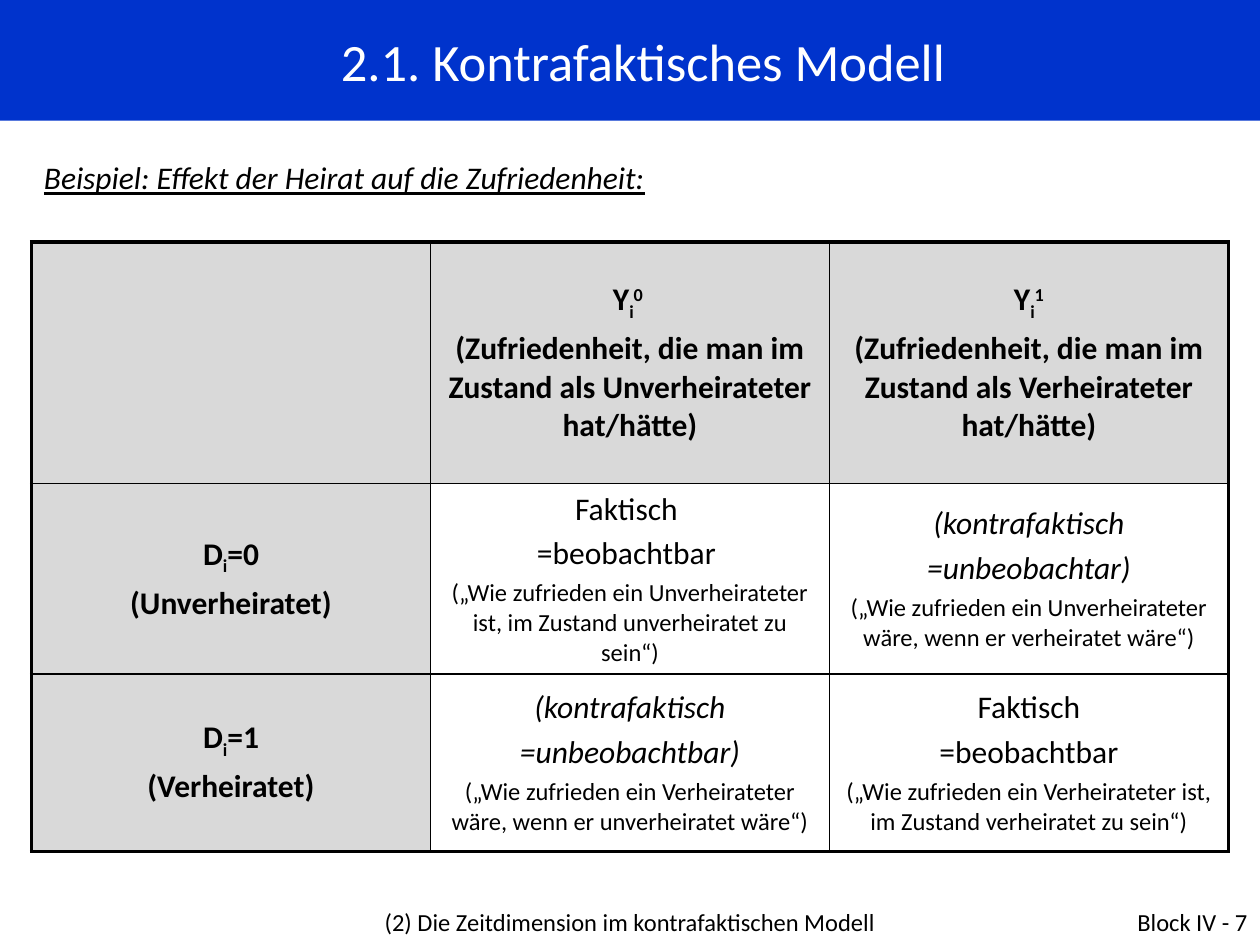
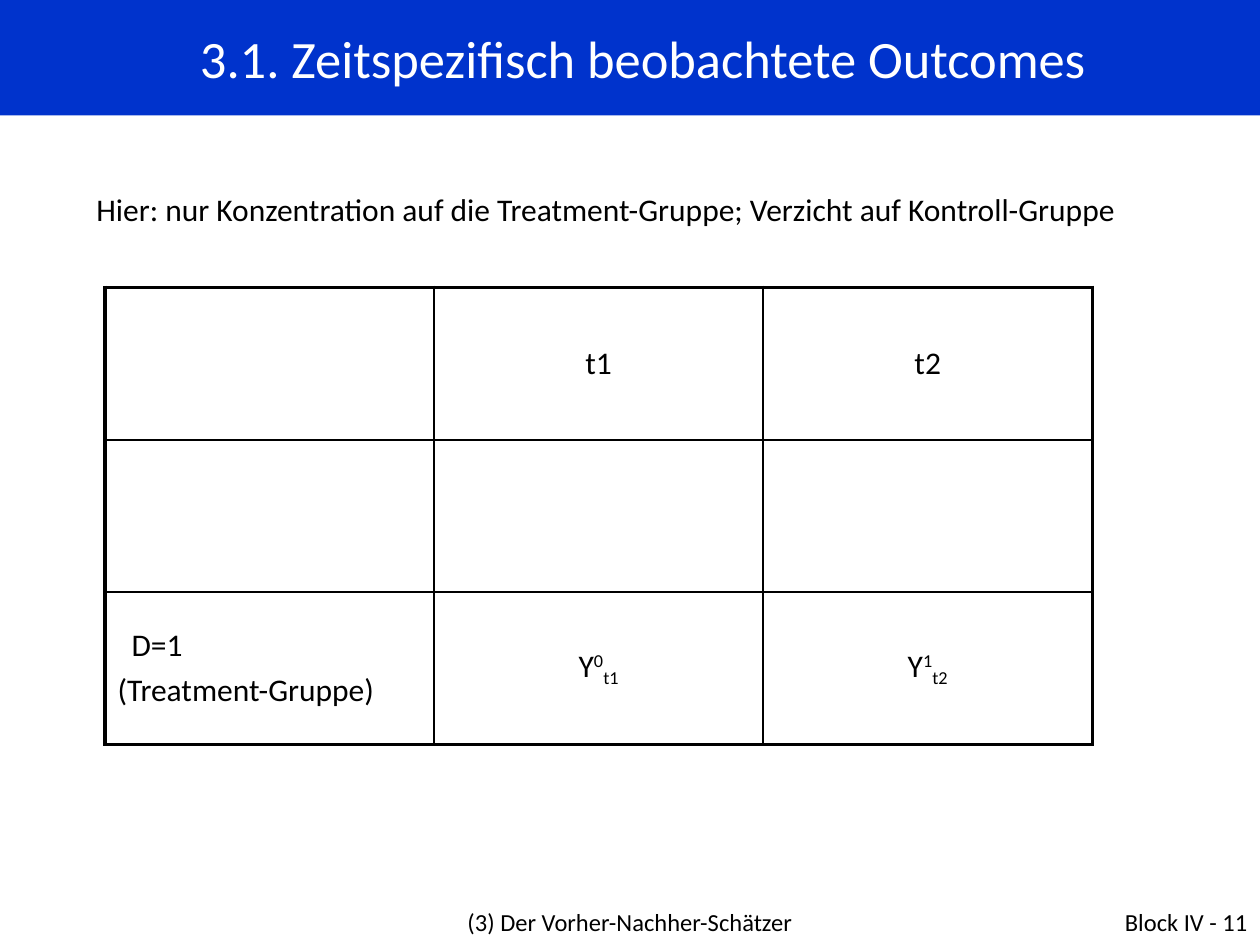
from dataclasses import dataclass
from typing import NamedTuple

from lxml import etree
from pptx import Presentation
from pptx import util as u
from pptx.dml import color
from pptx.enum import text
from pptx.oxml import ns

FONT = "Calibri"
BLUE, GREY, BLACK, WHITE = "0033CC", "D9D9D9", "000000", "FFFFFF"
SUB, SUPER = -25000, 30000
OUTER_LINE, INNER_LINE = 2.25, 1
LEFT, CENTER, RIGHT = text.PP_ALIGN.LEFT, text.PP_ALIGN.CENTER, text.PP_ALIGN.RIGHT
TITLE_ONLY = 5


class Run(NamedTuple):
    text: str
    baseline: int = 0


class Box(NamedTuple):
    left: float
    top: float
    width: float
    height: float


@dataclass
class Line:
    """One paragraph; space_before is a share of the font size."""
    runs: list[Run]
    size: float = 18
    bold: bool = False
    italic: bool = False
    underline: bool = False
    align: text.PP_ALIGN = CENTER
    color: str = BLACK
    space_before: float = 0.2
    line_spacing: float = 1.0
    margin: float = 0
    indent: float = 0


@dataclass
class Grid:
    box: Box
    row_heights: list[float]
    cells: list[list[list[Line]]]
    shaded_headers: bool = False


@dataclass
class Page:
    title: str
    band_height: float
    intro: Line
    intro_box: Box
    grid: Grid
    chapter: str
    number: int


def rgb(value: str) -> color.RGBColor:
    return color.RGBColor.from_string(value)


def apply(target: object, **values: object) -> None:
    for name, value in values.items():
        setattr(target, name, value)


def write(frame: text, lines: list[Line]) -> None:
    for index, line in enumerate(lines):
        paragraph = frame.add_paragraph() if index else frame.paragraphs[0]
        apply(paragraph, alignment=line.align, line_spacing=line.line_spacing,
              space_before=u.Pt(line.size * line.space_before))
        if line.margin:
            properties = paragraph._p.get_or_add_pPr()
            properties.set("marL", str(u.Pt(line.margin)))
            properties.set("indent", str(u.Pt(line.indent)))
        for part in line.runs:
            run = paragraph.add_run()
            run.text = part.text
            apply(run.font, name=FONT, size=u.Pt(line.size), bold=line.bold,
                  italic=line.italic, underline=line.underline)
            run.font.color.rgb = rgb(line.color)
            if part.baseline:
                run._r.get_or_add_rPr().set("baseline", str(part.baseline))


def add_text(slide, box: Box, line: Line, grow: bool = False) -> None:
    frame = slide.shapes.add_textbox(*map(u.Pt, box)).text_frame
    fit = text.MSO_AUTO_SIZE
    apply(frame, word_wrap=True, auto_size=fit.SHAPE_TO_FIT_TEXT if grow else fit.NONE)
    write(frame, [line])


def add_title(slide, title: str, height: float) -> None:
    band = slide.shapes.title
    apply(band, left=0, top=0, width=u.Pt(720), height=u.Pt(height))
    band.fill.solid()
    band.fill.fore_color.rgb = rgb(BLUE)
    apply(band.text_frame, auto_size=text.MSO_AUTO_SIZE.NONE, word_wrap=True,
          vertical_anchor=text.MSO_ANCHOR.MIDDLE)
    write(band.text_frame, [Line([Run(title)], size=30, color=WHITE, space_before=0,
                                 margin=37.5, indent=-22.5)])


def add_border(cell, side: str, width: float) -> None:
    line = etree.SubElement(cell._tc.get_or_add_tcPr(), ns.qn(f"a:ln{side}"),
                            w=str(u.Pt(width)))
    fill = etree.SubElement(line, ns.qn("a:solidFill"))
    etree.SubElement(fill, ns.qn("a:srgbClr"), val=BLACK)


def add_grid(slide, grid: Grid) -> None:
    rows, columns = len(grid.cells), len(grid.cells[0])
    table = slide.shapes.add_table(rows, columns, *map(u.Pt, grid.box)).table
    apply(table, first_row=False, horz_banding=False)
    for row, height in zip(table.rows, grid.row_heights):
        row.height = u.Pt(height)
    for column in table.columns:
        column.width = u.Pt(grid.box.width / columns)
    for r, row_lines in enumerate(grid.cells):
        for c, lines in enumerate(row_lines):
            cell = table.cell(r, c)
            on_edge = {"L": c == 0, "R": c == columns - 1,
                       "T": r == 0, "B": r == rows - 1}
            for side, outer in on_edge.items():
                add_border(cell, side, OUTER_LINE if outer else INNER_LINE)
            if grid.shaded_headers and 0 in (r, c):
                cell.fill.solid()
                cell.fill.fore_color.rgb = rgb(GREY)
            else:
                cell.fill.background()
            cell.vertical_anchor = text.MSO_ANCHOR.MIDDLE
            write(cell.text_frame, lines)


def add_page(presentation, page: Page) -> None:
    slide = presentation.slides.add_slide(presentation.slide_layouts[TITLE_ONLY])
    add_title(slide, page.title, page.band_height)
    add_text(slide, page.intro_box, page.intro, grow=True)
    add_grid(slide, page.grid)
    footers = [(Box(162, 515, 396, 37.5), page.chapter, CENTER),
               (Box(552, 515, 168, 37.5), f"Block IV - {page.number}", RIGHT)]
    for box, words, align in footers:
        add_text(slide, box, Line([Run(words)], size=14, align=align, space_before=0))


def header(symbol: list[Run], meaning: str) -> list[Line]:
    return [Line(symbol, bold=True), Line([Run(meaning)], bold=True)]


def outcome(state: str, observed: str, meaning: str, italic: bool = False) -> list[Line]:
    return [Line([Run(state)], italic=italic), Line([Run(observed)], italic=italic),
            Line([Run(meaning)], size=14)]


def potential(index: str) -> list[Run]:
    return [Run("Y"), Run("i", SUB), Run(index, SUPER)]


def treatment(value: int) -> list[Run]:
    return [Run("D"), Run("i", SUB), Run(f"={value}")]


def observed_at(index: int, time: str) -> list[Line]:
    return [Line([Run("Y"), Run(str(index), SUPER), Run(time, SUB)])]


MARRIAGE_GRID = Grid(
    Box(18, 138.2, 684, 348.4), [138.2, 108.7, 101.5],
    [
        [[],
         header(potential("0 "),
                "(Zufriedenheit, die man im Zustand als Unverheirateter hat/hätte)"),
         header(potential("1"),
                "(Zufriedenheit, die man im Zustand als Verheirateter hat/hätte)")],
        [header(treatment(0), "(Unverheiratet)"),
         outcome("Faktisch ", "=beobachtbar ",
                 "(„Wie zufrieden ein Unverheirateter ist, "
                 "im Zustand unverheiratet zu sein“)"),
         outcome("(kontrafaktisch", "=unbeobachtar)",
                 "(„Wie zufrieden ein Unverheirateter wäre, "
                 "wenn er verheiratet wäre“)", italic=True)],
        [header(treatment(1), "(Verheiratet)"),
         outcome("(kontrafaktisch", "=unbeobachtbar)",
                 "(„Wie zufrieden ein Verheirateter wäre, "
                 "wenn er unverheiratet wäre“)", italic=True),
         outcome("Faktisch", "=beobachtbar",
                 "(„Wie zufrieden ein Verheirateter ist, "
                 "im Zustand verheiratet zu sein“)")],
    ],
    shaded_headers=True)

TIME_GRID = Grid(
    Box(60, 164.2, 564.2, 261.3), [87.1] * 3,
    [
        [[], [Line([Run("t1")])], [Line([Run("t2")])]],
        [[], [], []],
        [[Line([Run("D=1")], align=LEFT, margin=8),
          Line([Run("(Treatment-Gruppe)")], align=LEFT)],
         observed_at(0, "t1"), observed_at(1, "t2")],
    ])

PAGES = [
    Page("2.1. Kontrafaktisches Modell", 69,
         Line([Run("Beispiel: Effekt der Heirat auf die Zufriedenheit:")],
              italic=True, underline=True, align=LEFT),
         Box(18, 87, 630, 29), MARRIAGE_GRID,
         "(2) Die Zeitdimension im kontrafaktischen Modell", 7),
    Page("3.1. Zeitspezifisch beobachtete Outcomes", 66,
         Line([Run("Hier: nur Konzentration auf die Treatment-Gruppe; "
                   "Verzicht auf Kontroll-Gruppe")],
              align=LEFT, space_before=0.25, line_spacing=1.25),
         Box(48, 99.4, 607, 32.4), TIME_GRID,
         "(3) Der Vorher-Nachher-Schätzer", 11),
]


def main() -> None:
    presentation = Presentation()
    apply(presentation, slide_width=u.Pt(720), slide_height=u.Pt(540))
    for page in PAGES:
        add_page(presentation, page)
    presentation.save("out.pptx")


if __name__ == "__main__":
    main()
